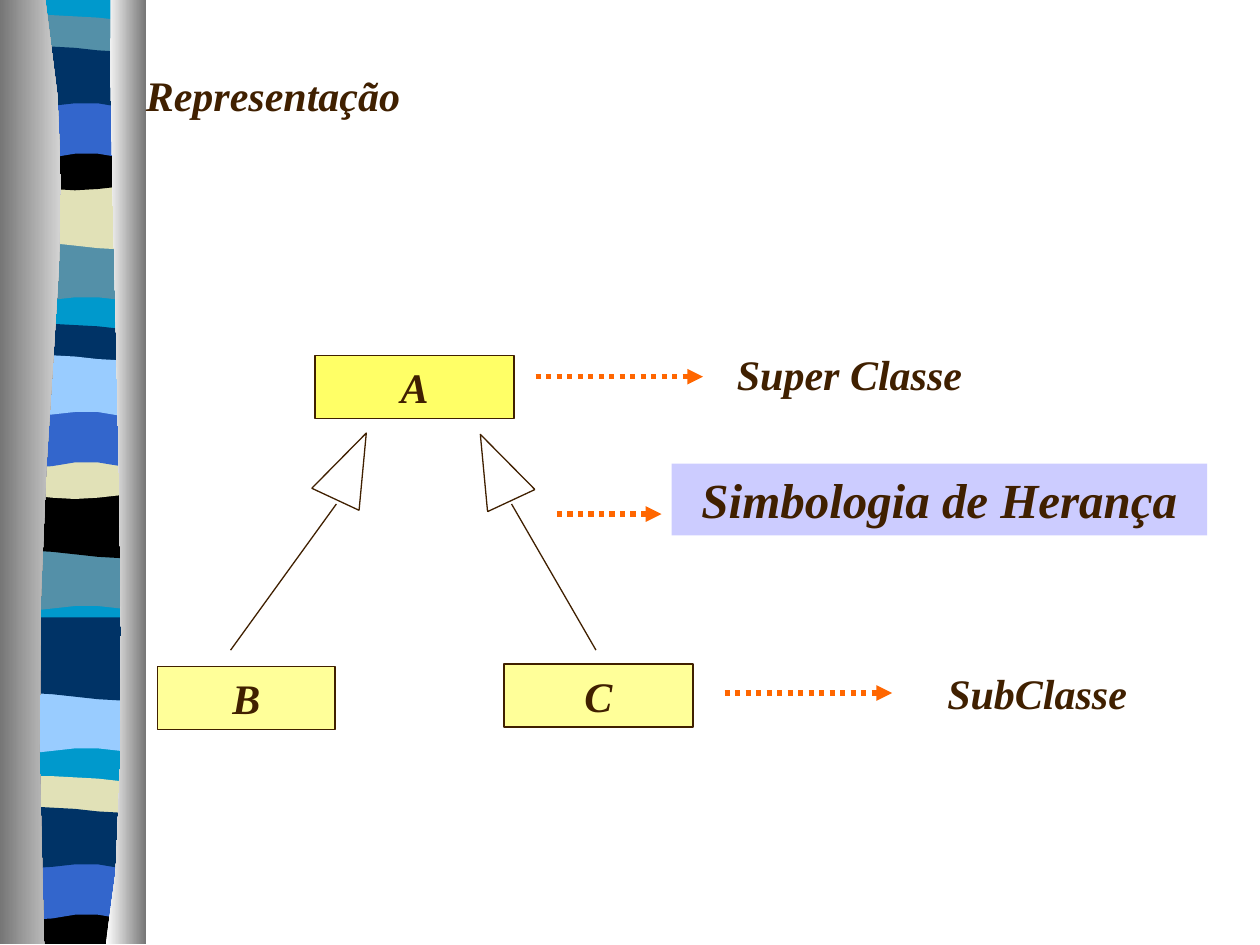
"""Build the inheritance notation slide with its wavy side strip."""
from dataclasses import dataclass
from typing import Optional

from lxml import etree
from pptx import Presentation
from pptx import util as u
from pptx.dml.color import RGBColor
from pptx.enum import dml, shapes, text
from pptx.oxml.ns import qn

BROWN = RGBColor(0x40, 0x20, 0x00)
ORANGE = RGBColor(0xFF, 0x66, 0x00)
LILAC = RGBColor(0xCC, 0xCC, 0xFF)
YELLOW = RGBColor(0xFF, 0xFF, 0x66)
PALE = RGBColor(0xFF, 0xFF, 0x99)
CYAN = RGBColor(0x00, 0x99, 0xCC)
TEAL = RGBColor(0x54, 0x90, 0xA8)
NAVY = RGBColor(0x00, 0x33, 0x66)
BLUE = RGBColor(0x33, 0x66, 0xCC)
BLACK = RGBColor(0x00, 0x00, 0x00)
SAND = RGBColor(0xE1, 0xE1, 0xB7)
SKY = RGBColor(0x99, 0xCC, 0xFF)
GRAY = RGBColor(0x76, 0x76, 0x76)
SILVER = RGBColor(0xD4, 0xD4, 0xD4)
WHITE = RGBColor(0xFF, 0xFF, 0xFF)

Point = tuple[float, float]
FOOT = 7.49
WEST, EAST = 0.05, 1.14
STEPS = 8
FONT = {"name": "Times New Roman", "bold": True, "italic": True}


@dataclass
class Wave:
    top: tuple[float, ...]
    base: tuple[float, ...]


@dataclass
class Stack:
    drop: float
    bands: list[tuple[Wave, RGBColor]]


@dataclass
class Label:
    words: str
    x: float
    y: float
    w: float
    h: float = 0.5
    size: float = 24
    gap: float = 15
    fill: Optional[RGBColor] = None
    edge: bool = False


@dataclass
class Link:
    start: Point
    end: Point
    dotted: bool = False


@dataclass
class Head:
    x: float
    y: float
    turn: float


FLOOR = Wave((0, 0), (7.48, 7.48))
SLOPE = Wave((1.9, 1.9), (2.37, 2.4, 2.38, 2.36, 2.36, 2.38, 2.37))
SWELL = Wave((1.32, 1.32), (1.93, 1.92, 1.93, 1.95, 1.97, 1.98, 1.93))
RIM = Wave((0.16, 0.12, 0.12, 0.13, 0.14, 0.16, 0.17), (0.47, 0.47))
BOWL = Wave((1.12, 1.12), (1.45, 1.48, 1.5, 1.51, 1.5, 1.48, 1.45))
BLOCK = Wave((1.08, 1.08), (1.45, 1.45))
ARCH = Wave((0.79, 0.79), (1.26, 1.26, 1.25, 1.22, 1.22, 1.25, 1.26))
FLAG = Wave((0.41, 0.36, 0.37, 0.38, 0.4, 0.41, 0.41),
            (0.83, 0.85, 0.84, 0.82, 0.82, 0.85, 0.83))
STACKS = [
    Stack(0, [(FLOOR, CYAN), (SLOPE, TEAL), (SWELL, SAND), (RIM, TEAL),
              (BOWL, BLACK), (ARCH, BLUE), (FLAG, NAVY)]),
    Stack(2.45, [(SLOPE, TEAL), (SWELL, BLACK), (RIM, NAVY),
                 (BOWL, SAND), (ARCH, BLUE), (FLAG, SKY)]),
    Stack(3.58, [(SLOPE, SKY), (SWELL, NAVY)]),
    Stack(6.04, [(RIM, SAND), (BLOCK, BLACK), (ARCH, BLUE), (FLAG, NAVY)]),
]
LABELS = [
    Label("Representação", 1.06, 0.5, 3, gap=0),
    Label("Super Classe", 5.75, 2.72, 2.25),
    Label("SubClasse", 7.42, 5.25, 1.66),
    Label("Simbologia de Herança", 5.33, 3.68, 4.25, 0.57, 28, 17.5, LILAC),
    Label("A", 2.5, 2.82, 1.58, fill=YELLOW, edge=True),
    Label("B", 1.25, 5.29, 1.41, fill=PALE, edge=True),
    Label("C", 4, 5.27, 1.5, fill=PALE, edge=True),
]
LINKS = [
    Link((4.25, 2.99), (5.58, 2.99), True),
    Link((5.75, 5.5), (7.08, 5.5), True),
    Link((4.42, 4.08), (5.25, 4.08), True),
    Link((2.67, 4), (1.83, 5.16)),
    Link((4.06, 4), (4.73, 5.16)),
]
HEADS = [Head(2.58, 3.41, 25), Head(3.73, 3.42, 335)]


def curve(a: Point, b: Point, c: Point, d: Point) -> list[Point]:
    """Sample a cubic Bezier curve."""
    out = []
    for i in range(STEPS + 1):
        t = i / STEPS
        s = 1 - t
        k = (s ** 3, 3 * s * s * t, 3 * s * t * t, t ** 3)
        out.append(tuple(sum(m * p[n] for m, p in zip(k, (a, b, c, d)))
                         for n in (0, 1)))
    return out


def spread(rows: tuple[float, ...], drop: float) -> list[Point]:
    """Space heights evenly across the strip."""
    gap = (EAST - WEST) / (len(rows) - 1)
    return [(WEST + i * gap, y + drop) for i, y in enumerate(rows)]


def outline(slide, dots: list[Point]):
    """Add a closed borderless outline."""
    spots = [(u.Inches(x), u.Inches(y)) for x, y in dots]
    pen = slide.shapes.build_freeform(*spots[0], scale=1.0)
    pen.add_line_segments(spots[1:], close=True)
    shape = pen.convert_to_shape()
    shape.shadow.inherit = False
    shape.line.fill.background()
    return shape


def paint(shape, fill: RGBColor) -> None:
    """Fill a shape with one colour."""
    shape.fill.solid()
    shape.fill.fore_color.rgb = fill


def fade(shape, *tones: RGBColor) -> None:
    """Fill a shape with a left to right gradient."""
    shape.fill.gradient()
    shape.fill.gradient_angle = 0
    for stop, tone in zip(shape.fill.gradient_stops, tones):
        stop.color.rgb = tone


def ink(line, tone: RGBColor = BROWN, width: float = 0.74) -> None:
    """Set line colour and width."""
    line.color.rgb = tone
    line.width = u.Pt(width)


def pile(slide, stack: Stack) -> None:
    """Draw the bands of one stack."""
    for wave, tone in stack.bands:
        base = spread(wave.base, stack.drop)
        paint(outline(slide, spread(wave.top, stack.drop) + base[::-1]), tone)


def write(slide, label: Label) -> None:
    """Add a text box, or a filled box with centred text."""
    box = [u.Inches(v) for v in (label.x, label.y, label.w, label.h)]
    if label.fill is None:
        shape = slide.shapes.add_textbox(*box)
    else:
        shape = slide.shapes.add_shape(shapes.MSO_SHAPE.RECTANGLE, *box)
        shape.shadow.inherit = False
        paint(shape, label.fill)
        if label.edge:
            ink(shape.line)
        else:
            shape.line.fill.background()
    frame = shape.text_frame
    frame.word_wrap = True
    frame.vertical_anchor = text.MSO_ANCHOR.TOP
    para = frame.paragraphs[0]
    para.alignment = text.PP_ALIGN.CENTER if label.fill else text.PP_ALIGN.LEFT
    para.space_before = u.Pt(label.gap)
    run = para.add_run()
    run.text = label.words
    for key, val in {**FONT, "size": u.Pt(label.size)}.items():
        setattr(run.font, key, val)
    run.font.color.rgb = BROWN


def join(slide, link: Link) -> None:
    """Add a plain line or a dotted arrow."""
    ends = [u.Inches(v) for v in link.start + link.end]
    wire = slide.shapes.add_connector(shapes.MSO_CONNECTOR.STRAIGHT, *ends)
    ink(wire.line, *((ORANGE, 3) if link.dotted else ()))
    if link.dotted:
        wire.line.dash_style = dml.MSO_LINE.ROUND_DOT
        etree.SubElement(wire._element.spPr.find(qn("a:ln")), qn("a:tailEnd"), type="triangle")
    etree.SubElement(wire._element.spPr, qn("a:effectLst"))


def point(slide, head: Head) -> None:
    """Add a hollow inheritance arrowhead."""
    box = [u.Inches(v) for v in (head.x, head.y, 0.41, 0.58)]
    shape = slide.shapes.add_shape(shapes.MSO_SHAPE.UP_ARROW, *box)
    shape.shadow.inherit = False
    shape.fill.background()
    ink(shape.line)
    shape.rotation = head.turn
    shape.adjustments[0], shape.adjustments[1] = 1, 1.4


deck = Presentation()
deck.slide_width, deck.slide_height = u.Inches(10), u.Inches(7.5)
slide = deck.slides.add_slide(deck.slide_layouts[6])
for stack in STACKS:
    pile(slide, stack)
left = curve((0.36, 0), (0.72, 2.16), (0.17, 2.96), (0.35, FOOT))
right = curve((0.88, 0), (0.84, 1.25), (1.11, 6.46), (0.84, FOOT))
fade(outline(slide, left + [(0, FOOT), (0, 0)]), GRAY, SILVER)
fade(outline(slide, right + [(1.16, FOOT), (1.16, 0)]), WHITE, GRAY)
for draw, items in ((write, LABELS), (join, LINKS), (point, HEADS)):
    for item in items:
        draw(slide, item)
deck.save("out.pptx")
